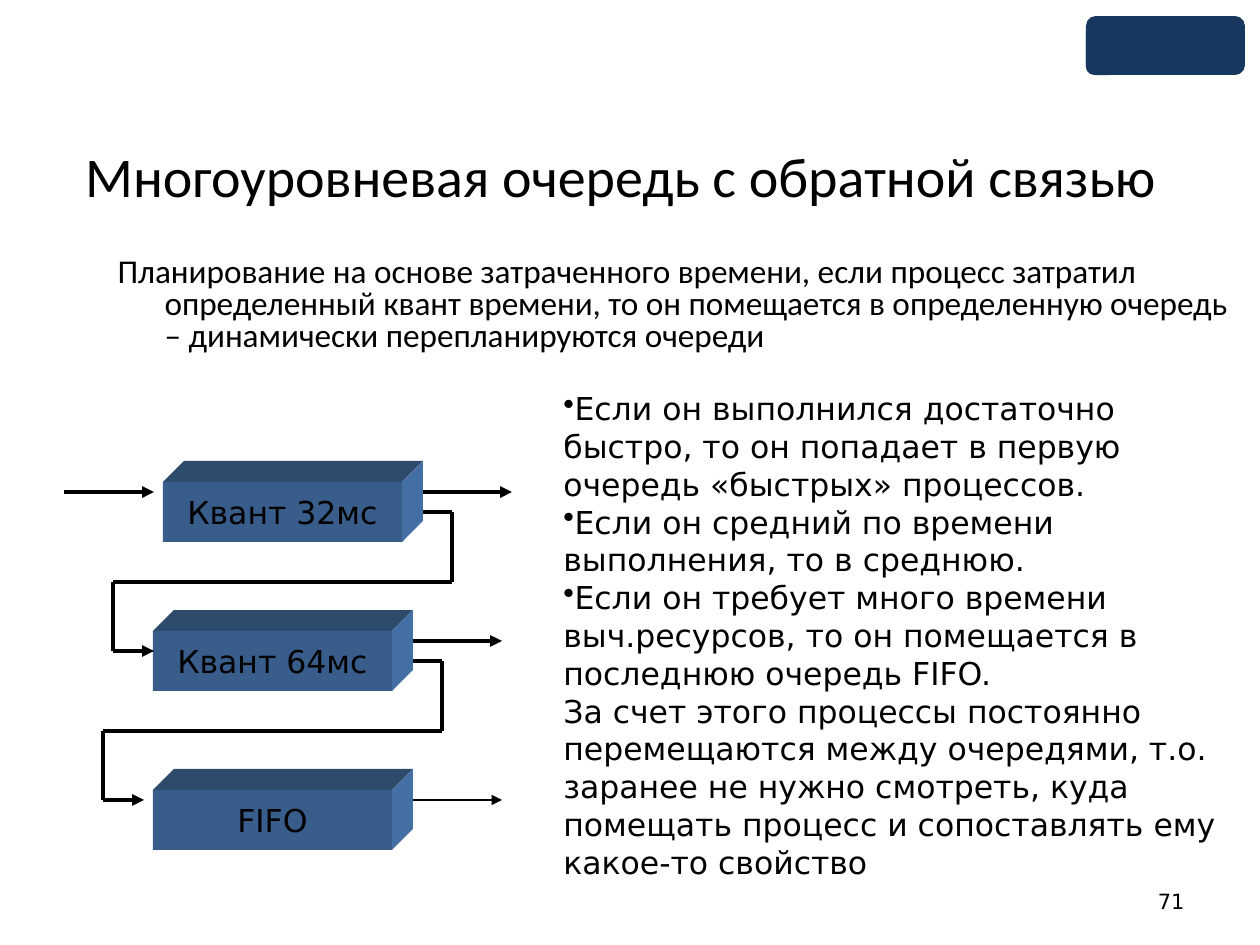
from dataclasses import dataclass
from itertools import pairwise

from lxml import etree
from pptx import Presentation
from pptx.dml.color import RGBColor
from pptx.enum.shapes import MSO_CONNECTOR, MSO_SHAPE
from pptx.enum.text import MSO_ANCHOR, MSO_AUTO_SIZE, PP_ALIGN
from pptx.oxml.ns import qn
from pptx.util import Emu, Pt

STRAIGHT = MSO_CONNECTOR.STRAIGHT
RECTANGLE, ROUNDED = MSO_SHAPE.RECTANGLE, MSO_SHAPE.ROUNDED_RECTANGLE
TOP, MIDDLE = MSO_ANCHOR.TOP, MSO_ANCHOR.MIDDLE
LEFT, CENTER, RIGHT = PP_ALIGN.LEFT, PP_ALIGN.CENTER, PP_ALIGN.RIGHT
NO_FIT, GROW = MSO_AUTO_SIZE.NONE, MSO_AUTO_SIZE.SHAPE_TO_FIT_TEXT

SCALE = 914400 / 126
BOX_WIDTH, BOX_HEIGHT, DEPTH = 239, 60, 21
EXIT_LENGTH = 89


@dataclass(frozen=True)
class Theme:
    """Colours, fonts and type sizes of the slide."""
    ink: str = "000000"
    badge: str = "17375E"
    front: str = "385D8A"
    roof: str = "2F4B6C"
    side: str = "446FA4"
    heading_font: str = "Calibri"
    text_font: str = "DejaVu Sans"
    title_size: int = 32
    lead_size: int = 19
    text_size: int = 18
    number_size: int = 12
    thick: float = 2.25
    thin: float = 1.5


THEME = Theme()

TITLE = "Многоуровневая очередь с обратной связью"
LEAD = ("Планирование на основе затраченного времени, если процесс затратил "
        "определенный квант времени, то он помещается в определенную очередь "
        "– динамически перепланируются очереди")
RULES = [
    "Если он выполнился достаточно быстро, то он попадает в первую очередь "
    "«быстрых» процессов.",
    "Если он средний по времени выполнения, то в среднюю.",
    "Если он требует много времени выч.ресурсов, то он помещается в последнюю "
    "очередь FIFO.",
]
SUMMARY = ("За счет этого процессы постоянно перемещаются между очередями, т.о. "
           "заранее не нужно смотреть, куда помещать процесс и сопоставлять ему "
           "какое-то свойство")
QUEUES = [
    ("Квант 32мс", 163, 482, THEME.thick),
    ("Квант 64мс", 153, 631, THEME.thick),
    ("FIFO", 153, 790, THEME.thin),
]


def px(length):
    """Turn pixels into EMU."""
    return Emu(round(length * SCALE))


def paint(shape, colour):
    """Give a shape a plain fill without outline or shadow."""
    shape.shadow.inherit = False
    shape.fill.solid()
    shape.fill.fore_color.rgb = RGBColor.from_string(colour)
    shape.line.fill.background()


def write(shape, texts, font, size, align=LEFT, anchor=TOP, wrap=True, fit=NO_FIT):
    """Write formatted paragraphs into a shape and return them."""
    frame = shape.text_frame
    frame.text = "\n".join(texts)
    frame.word_wrap = wrap
    frame.auto_size = fit
    frame.vertical_anchor = anchor
    for paragraph in frame.paragraphs:
        paragraph.alignment = align
        paragraph.font.name = font
        paragraph.font.size = Pt(size)
        paragraph.font.color.rgb = RGBColor.from_string(THEME.ink)
    return frame.paragraphs


def set_bullet(paragraph, char=None):
    """Set the bullet character of a paragraph, or switch bullets off."""
    properties = paragraph._p.get_or_add_pPr()
    bullet = etree.Element(qn("a:buChar" if char else "a:buNone"))
    if char:
        bullet.set("char", char)
    properties.insert_element_before(bullet, "a:tabLst", "a:defRPr", "a:extLst")


def place(shape, left, top, width, height):
    """Move and size a placeholder."""
    shape.left, shape.top = px(left), px(top)
    shape.width, shape.height = px(width), px(height)


def add_text(slide, bounds, texts, size, **layout):
    """Add a text box and return its paragraphs."""
    box = slide.shapes.add_textbox(*map(px, bounds))
    return write(box, texts, THEME.text_font, size, **layout)


def add_badge(slide, *bounds):
    """Add a rounded corner badge."""
    paint(slide.shapes.add_shape(ROUNDED, *map(px, bounds)), THEME.badge)


def add_face(slide, corners, colour):
    """Add a slanted face of a queue block."""
    builder = slide.shapes.build_freeform(*corners[0], scale=SCALE)
    builder.add_line_segments(corners[1:], close=True)
    paint(builder.convert_to_shape(), colour)


def add_block(slide, label, left, top):
    """Add a queue as a solid block with its label in front."""
    right, bottom = left + BOX_WIDTH, top + BOX_HEIGHT
    back_right, back_top = right + DEPTH, top - DEPTH
    add_face(slide, [(left, top), (left + DEPTH, back_top),
                     (back_right, back_top), (right, top)], THEME.roof)
    add_face(slide, [(right, top), (back_right, back_top),
                     (back_right, bottom - DEPTH), (right, bottom)], THEME.side)
    front = slide.shapes.add_shape(
        RECTANGLE, *map(px, (left, top, BOX_WIDTH, BOX_HEIGHT)))
    paint(front, THEME.front)
    write(front, [label], THEME.text_font, THEME.text_size, CENTER, MIDDLE, wrap=False)


def add_route(slide, points, weight=THEME.thick):
    """Join points with lines, the last one ending in an arrowhead."""
    for start, end in pairwise(points):
        line = slide.shapes.add_connector(STRAIGHT, *map(px, (*start, *end)))
        line.line.color.rgb = RGBColor.from_string(THEME.ink)
        line.line.width = Pt(weight)
        etree.SubElement(line._element.spPr, qn("a:effectLst"))
    etree.SubElement(line.line._get_or_add_ln(), qn("a:tailEnd"), type="triangle")


def add_feedback(slide, left, top):
    """Lead unfinished processes from one queue back into the next."""
    start = left + BOX_WIDTH + DEPTH
    turn, back = start + 29, left - 50
    leave, cross, enter = top + 30, top + 100, top + 169
    add_route(slide, [(start, leave), (turn, leave), (turn, cross),
                      (back, cross), (back, enter), (left - 9, enter)])


def add_queues(slide):
    """Draw the queues with their entry, exits and feedback."""
    for label, left, top, weight in QUEUES:
        add_block(slide, label, left, top)
        start, level = left + BOX_WIDTH + DEPTH, top + 10
        add_route(slide, [(start, level), (start + EXIT_LENGTH, level)], weight)
    for _, left, top, _ in QUEUES[:-1]:
        add_feedback(slide, left, top)
    _, left, top, _ = QUEUES[0]
    add_route(slide, [(64, top + 10), (left - 9, top + 10)])


def add_heading(slide):
    """Fill the title and the lead paragraph."""
    title, lead = slide.placeholders
    place(title, 54, 96, 1134, 158)
    write(title, [TITLE], THEME.heading_font, THEME.title_size, CENTER, MIDDLE)
    place(lead, 105, 252, 1142, 141)
    paragraph = write(lead, [LEAD], THEME.heading_font, THEME.lead_size)[0]
    paragraph.line_spacing = 0.8
    paragraph.space_before = Pt(4)
    set_bullet(paragraph)
    properties = paragraph._p.get_or_add_pPr()
    properties.set("marL", str(px(47)))
    properties.set("indent", str(-px(47)))


def main():
    """Build and save the slide."""
    deck = Presentation()
    deck.slide_width, deck.slide_height = px(1260), px(945)
    slide = deck.slides.add_slide(deck.slide_layouts[1])
    add_badge(slide, 1086, 26, 149, 49)
    add_badge(slide, 1086, 16, 159, 59)
    add_heading(slide)
    add_queues(slide)
    notes = add_text(slide, (551, 383, 709, 562), [*RULES, SUMMARY],
                     THEME.text_size, fit=GROW)
    for rule in notes[:-1]:
        set_bullet(rule, "•")
    add_text(slide, (903, 876, 294, 50), ["71"], THEME.number_size,
             align=RIGHT, anchor=MIDDLE)
    deck.save("out.pptx")


if __name__ == "__main__":
    main()
